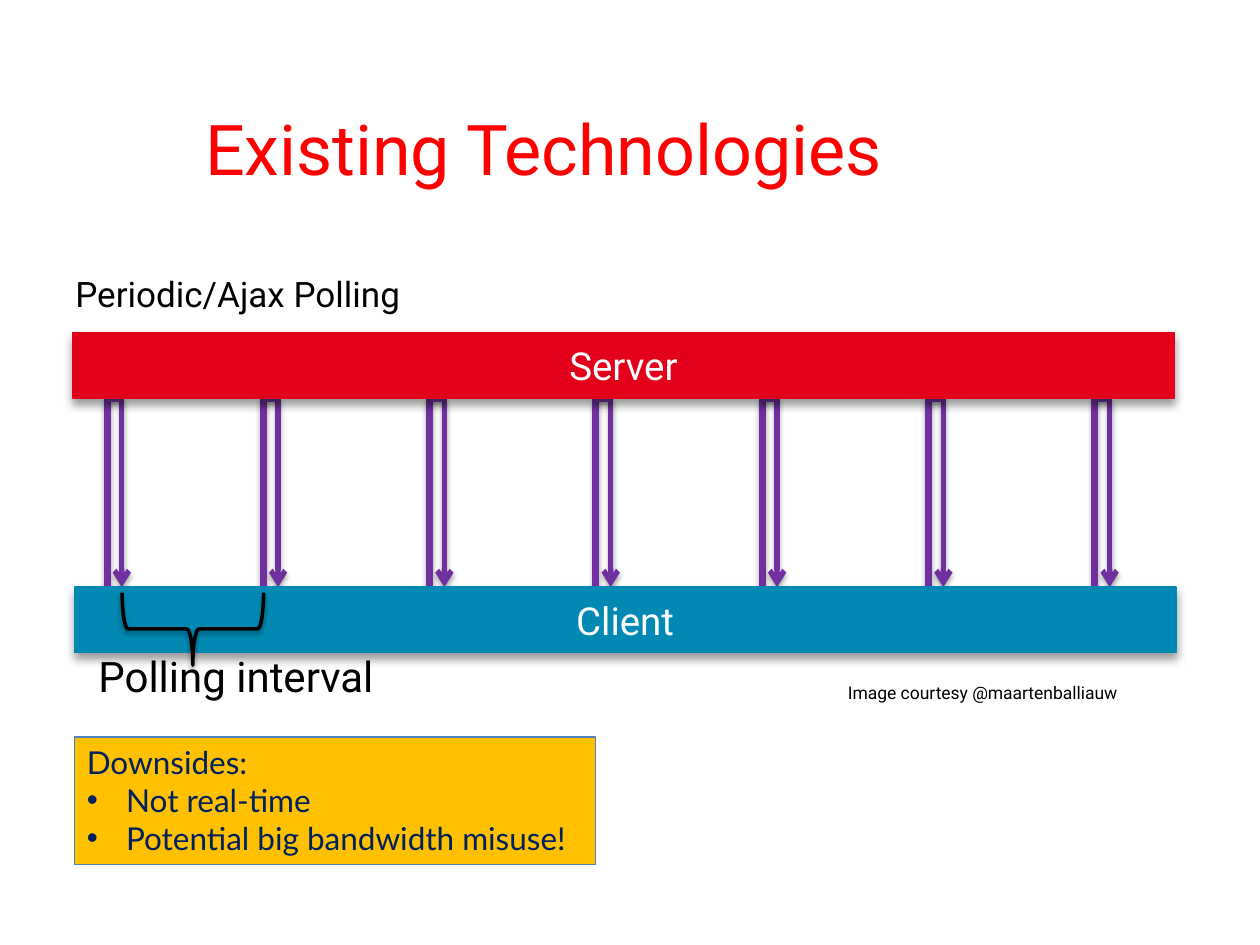
from dataclasses import dataclass

from lxml import etree
from pptx import Presentation
from pptx.dml.color import RGBColor
from pptx.enum import shapes, text
from pptx.oxml import ns
from pptx.util import Pt


@dataclass(frozen=True)
class Theme:
    title: str = "FF0000"
    ink: str = "000000"
    light: str = "FFFFFF"
    server: str = "E2001A"
    client: str = "0189B4"
    request: str = "7030A0"
    note_fill: str = "FFC000"
    note_line: str = "4F81BD"
    note_text: str = "002060"
    font: str = "Roboto"
    note_font: str = "Lato"
    title_size: int = 40
    interval_size: int = 24
    bar_size: int = 22
    heading_size: int = 20
    note_size: int = 18
    credit_size: int = 10


theme = Theme()


def write(shape, lines, size, color, font=theme.font, align=text.PP_ALIGN.LEFT,
          anchor=text.MSO_ANCHOR.TOP, margins=(7.2, 3.6), bullets_from=None):
    """Fill a shape with one paragraph per line, bulleted from the given index on."""
    frame = shape.text_frame
    frame.word_wrap = True
    frame.vertical_anchor = anchor
    frame.margin_left = frame.margin_right = Pt(margins[0])
    frame.margin_top = frame.margin_bottom = Pt(margins[1])
    frame.text = lines
    for index, paragraph in enumerate(frame.paragraphs):
        paragraph.alignment = align
        if bullets_from is not None and index >= bullets_from:
            properties = paragraph._p.get_or_add_pPr()
            properties.set("marL", str(Pt(22.5)))
            properties.set("indent", str(-Pt(22.5)))
            etree.SubElement(properties, ns.qn("a:buFont"), typeface="Arial")
            etree.SubElement(properties, ns.qn("a:buChar"), char="•")
        for run in paragraph.runs:
            run.font.name = font
            run.font.size = Pt(size)
            run.font.color.rgb = RGBColor.from_string(color)


def cast_shadow(shape, blur, distance, opacity):
    """Give a shape or connector a soft black shadow straight below it."""
    effects = etree.SubElement(shape._element.spPr, ns.qn("a:effectLst"))
    shadow = etree.SubElement(
        effects, ns.qn("a:outerShdw"), blurRad=str(Pt(blur)), dist=str(Pt(distance)),
        dir="5400000", rotWithShape="0")
    black = etree.SubElement(shadow, ns.qn("a:srgbClr"), val=theme.ink)
    etree.SubElement(black, ns.qn("a:alpha"), val=str(opacity * 1000))


presentation = Presentation()
presentation.slide_width, presentation.slide_height = Pt(720), Pt(540)
slide = presentation.slides.add_slide(presentation.slide_layouts[6])

# Title and heading
title = slide.shapes.add_textbox(Pt(8), Pt(39.5), Pt(605), Pt(90))
write(title, "Existing Technologies", theme.title_size, theme.title,
      align=text.PP_ALIGN.CENTER, anchor=text.MSO_ANCHOR.MIDDLE)
heading = slide.shapes.add_textbox(Pt(36), Pt(152), Pt(648), Pt(355))
write(heading, "Periodic/Ajax Polling", theme.heading_size, theme.ink)

# Polls: a request line up, a short turn at the server, an arrow back down
server_bottom, client_top = 227.5, 335.5
poll_lefts = [61.2] + [150.5 + 95.04 * step for step in range(6)]
for left in poll_lefts:
    right = left + 8.4
    for start, end, width, has_arrow in (
        ((left, server_bottom), (left, client_top), 4, False),
        ((right, server_bottom), (right, client_top), 3, True),
        ((left, server_bottom), (right, server_bottom), 4, False),
    ):
        connector = slide.shapes.add_connector(
            shapes.MSO_CONNECTOR.STRAIGHT, *map(Pt, start + end))
        connector.line.color.rgb = RGBColor.from_string(theme.request)
        connector.line.width = Pt(width)
        if has_arrow:
            outline = connector._element.spPr.find(ns.qn("a:ln"))
            etree.SubElement(outline, ns.qn("a:tailEnd"), type="arrow")
        cast_shadow(connector, 3.1, 1.8, 35)

interval = slide.shapes.add_textbox(Pt(56.2), Pt(371.5), Pt(170), Pt(29))
write(interval, "Polling interval", theme.interval_size, theme.ink, margins=(0, 0))

# Server and client bars
for name, left, top, color in (
    ("Client", 42.5, 335.5, theme.client),
    ("Server", 41.5, 190, theme.server),
):
    bar = slide.shapes.add_shape(
        shapes.MSO_SHAPE.RECTANGLE, Pt(left), Pt(top), Pt(629.5), Pt(37.5))
    bar.fill.solid()
    bar.fill.fore_color.rgb = RGBColor.from_string(color)
    bar.line.color.rgb = RGBColor.from_string(color)
    bar.line.width = Pt(0.75)
    cast_shadow(bar, 5.2, 3, 40)
    write(bar, name, theme.bar_size, theme.light,
          align=text.PP_ALIGN.CENTER, anchor=text.MSO_ANCHOR.MIDDLE)

# Brace between the first answer and the next request
brace = slide.shapes.add_shape(
    shapes.MSO_SHAPE.LEFT_BRACE, Pt(89.5), Pt(319), Pt(41.5), Pt(80.8))
brace.rotation = 270
brace.fill.background()
brace.line.color.rgb = RGBColor.from_string(theme.ink)
brace.line.width = Pt(2)
cast_shadow(brace, 3.1, 1.6, 38)

credit = slide.shapes.add_textbox(Pt(477.4), Pt(386), Pt(195), Pt(19.4))
write(credit, "Image courtesy @maartenballiauw", theme.credit_size, theme.ink)

# Downsides note
note = slide.shapes.add_shape(
    shapes.MSO_SHAPE.RECTANGLE, Pt(42.5), Pt(421.2), Pt(298), Pt(72.7))
note.fill.solid()
note.fill.fore_color.rgb = RGBColor.from_string(theme.note_fill)
note.line.color.rgb = RGBColor.from_string(theme.note_line)
note.line.width = Pt(0.75)
note.shadow.inherit = False
write(note, "Downsides:\nNot real-time\nPotential big bandwidth misuse!",
      theme.note_size, theme.note_text, font=theme.note_font, bullets_from=1)

presentation.save("out.pptx")
